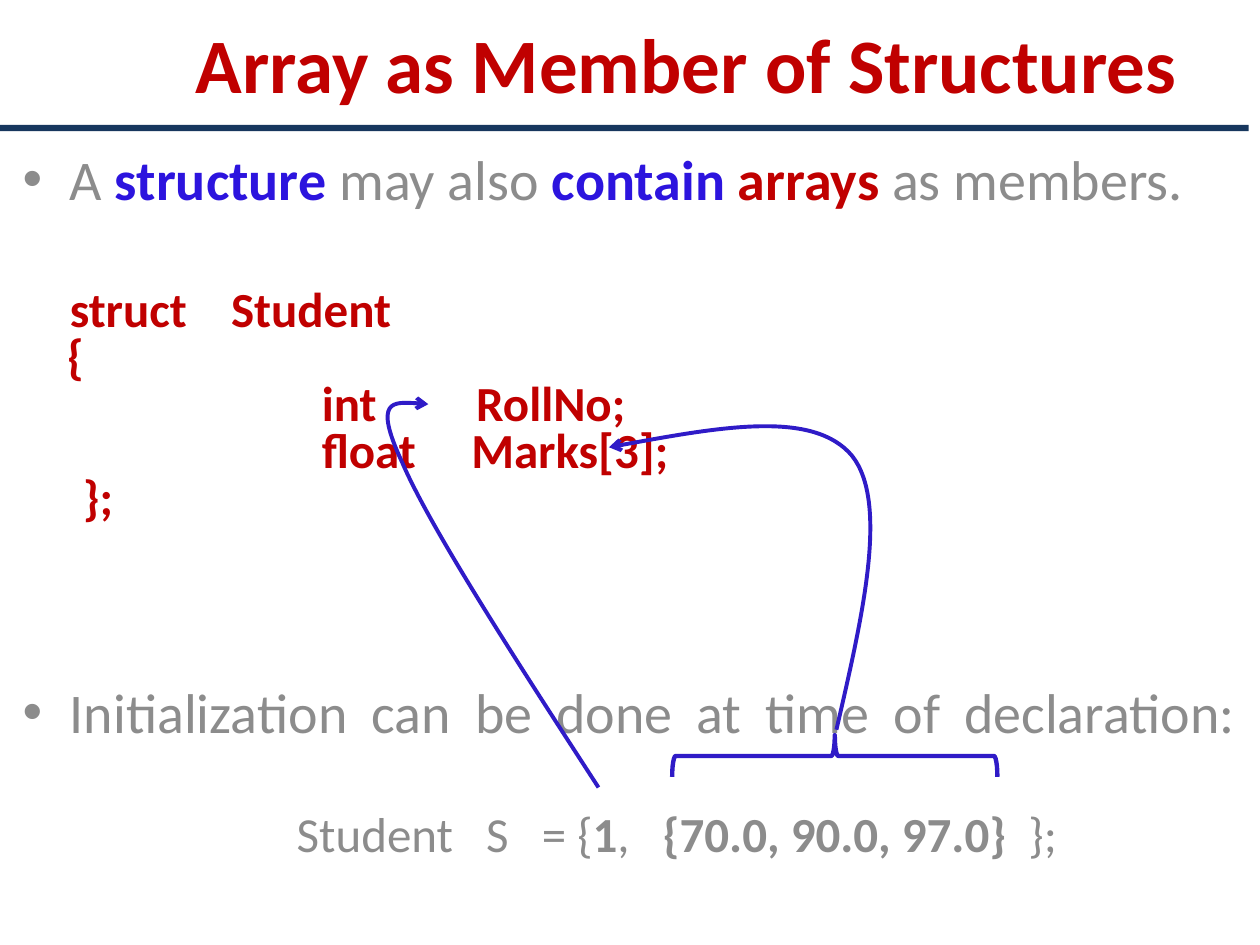
from lxml import etree
from pptx import Presentation
from pptx.dml.color import RGBColor
from pptx.enum.shapes import MSO_SHAPE
from pptx.enum.text import MSO_ANCHOR, PP_ALIGN
from pptx.oxml.ns import qn
from pptx.util import Pt

CENTER, LEFT, JUSTIFY = PP_ALIGN.CENTER, PP_ALIGN.LEFT, PP_ALIGN.JUSTIFY
MIDDLE, TOP = MSO_ANCHOR.MIDDLE, MSO_ANCHOR.TOP
RECTANGLE, LEFT_BRACE = MSO_SHAPE.RECTANGLE, MSO_SHAPE.LEFT_BRACE
FONT = "Calibri"
RED, GREY, BLUE, INK, NAVY = "C00000", "8C8C8C", "2C14DE", "2F1BC7", "17375E"
TEXT_INDENT = 27
CODE_LINES = [
    ("struct    Student", 27),
    ("{", 25.5),
    ("int         RollNo;", 171),
    ("float     Marks[3];", 171),
    ("};", 34.5),
]


def color(value):
    """Turn a hex string into a colour."""
    return RGBColor.from_string(value)


def add_span(para, text, size=32, ink=GREY, bold=False):
    """Append formatted text to a paragraph."""
    span = para.add_run()
    span.text = text
    span.font.name = FONT
    span.font.size = Pt(size)
    span.font.bold = bold
    span.font.color.rgb = color(ink)


def add_frame(page, box, anchor=TOP):
    """Add a wrapping text box and return its text frame."""
    frame = page.shapes.add_textbox(*map(Pt, box)).text_frame
    frame.word_wrap = True
    frame.vertical_anchor = anchor
    return frame


def format_para(para, align=LEFT, height=None, before=0, margin=0, bullet=False, tab=None):
    """Set the alignment, spacing, indent, bullet and tab of a paragraph."""
    para.alignment = align
    para.space_before = Pt(before)
    if height:
        para.line_spacing = Pt(height)
    props = para._p.get_or_add_pPr()
    props.set("marL", str(Pt(margin)))
    props.set("indent", str(Pt(-margin if bullet else 0)))
    if bullet:
        etree.SubElement(props, qn("a:buFont"), typeface="Arial")
        etree.SubElement(props, qn("a:buChar"), char="•")
    if tab:
        stops = etree.SubElement(props, qn("a:tabLst"))
        etree.SubElement(stops, qn("a:tab"), pos=str(Pt(tab)), algn="l")


def add_title(page, box):
    """Add the slide title."""
    para = add_frame(page, box, MIDDLE).paragraphs[0]
    format_para(para, CENTER)
    add_span(para, "Array as Member of Structures", size=44, ink=RED, bold=True)


def add_rule(page, box):
    """Add the bar under the title."""
    rule = page.shapes.add_shape(RECTANGLE, *map(Pt, box))
    rule.shadow.inherit = False
    rule.fill.solid()
    rule.fill.fore_color.rgb = color(NAVY)
    rule.line.fill.background()


def add_body(page, box):
    """Add the two bullet points with the code between them."""
    frame = add_frame(page, box)
    para = frame.paragraphs[0]
    format_para(para, height=33, margin=TEXT_INDENT, bullet=True)
    add_span(para, "A ")
    add_span(para, "structure", ink=BLUE, bold=True)
    add_span(para, " may also ")
    add_span(para, "contain ", ink=BLUE, bold=True)
    add_span(para, "arrays", ink=RED, bold=True)
    add_span(para, " as members.")

    for index, (code, margin) in enumerate(CODE_LINES):
        para = frame.add_paragraph()
        format_para(para, height=26.9, before=0 if index else 45, margin=margin)
        add_span(para, code, size=28, ink=RED, bold=True)

    para = frame.add_paragraph()
    format_para(para, JUSTIFY, height=67, before=58.4, margin=TEXT_INDENT, bullet=True, tab=156.7)
    add_span(para, "Initialization can be done at time of declaration:")
    para.add_line_break()
    add_span(para, "\tStudent   S   = {", size=28)
    add_span(para, "1", size=28, bold=True)
    add_span(para, ",   ", size=28)
    add_span(para, "{70.0, 90.0, 97.0}", size=28, bold=True)
    add_span(para, "  };", size=28)


def add_curved_arrow(page, left, top, points):
    """Add an arrow of joined Bézier curves through points given from its corner."""
    places = [(Pt(left + x), Pt(top + y)) for x, y in points]
    builder = page.shapes.build_freeform(*places[0])
    builder.add_line_segments(places[1:], close=False)
    arrow = builder.convert_to_shape()
    arrow.shadow.inherit = False
    arrow.fill.background()
    arrow.line.color.rgb = color(INK)
    arrow.line.width = Pt(2.25)
    outline = arrow._element.find(".//" + qn("a:path"))
    segments = outline.findall(qn("a:lnTo"))
    for start in range(0, len(segments), 3):
        curve = etree.SubElement(outline, qn("a:cubicBezTo"))
        for segment in segments[start:start + 3]:
            curve.append(segment[0])
            outline.remove(segment)
    etree.SubElement(arrow.line._get_or_add_ln(), qn("a:tailEnd"), type="arrow")


def add_brace(page, box):
    """Add a brace turned to point upward."""
    brace = page.shapes.add_shape(LEFT_BRACE, *map(Pt, box))
    brace.rotation = 90
    brace.shadow.inherit = False
    brace.fill.background()
    brace.line.color.rgb = color(INK)
    brace.line.width = Pt(2.5)


def main():
    """Build and save the slide."""
    deck = Presentation()
    deck.slide_width, deck.slide_height = Pt(720), Pt(540)
    page = deck.slides.add_slide(deck.slide_layouts[6])
    add_title(page, (72, 1.5, 641, 69))
    add_body(page, (5.8, 84.2, 707.8, 448.6))
    add_rule(page, (-0.7, 71.3, 714.2, 3.6))
    add_curved_arrow(page, 213, 228, [
        (129, 222), (81, 148), (32.5, 73), (16.7, 36), (0, 0), (16, 1.5), (31.8, 3)])
    add_brace(page, (465.1, 339.1, 23.8, 185.8))
    add_curved_arrow(page, 348, 234, [
        (130, 183), (145, 118), (160, 53.5), (139, 26.6), (117, 0), (59, 10.8), (0, 21.6)])
    deck.save("out.pptx")


if __name__ == "__main__":
    main()
